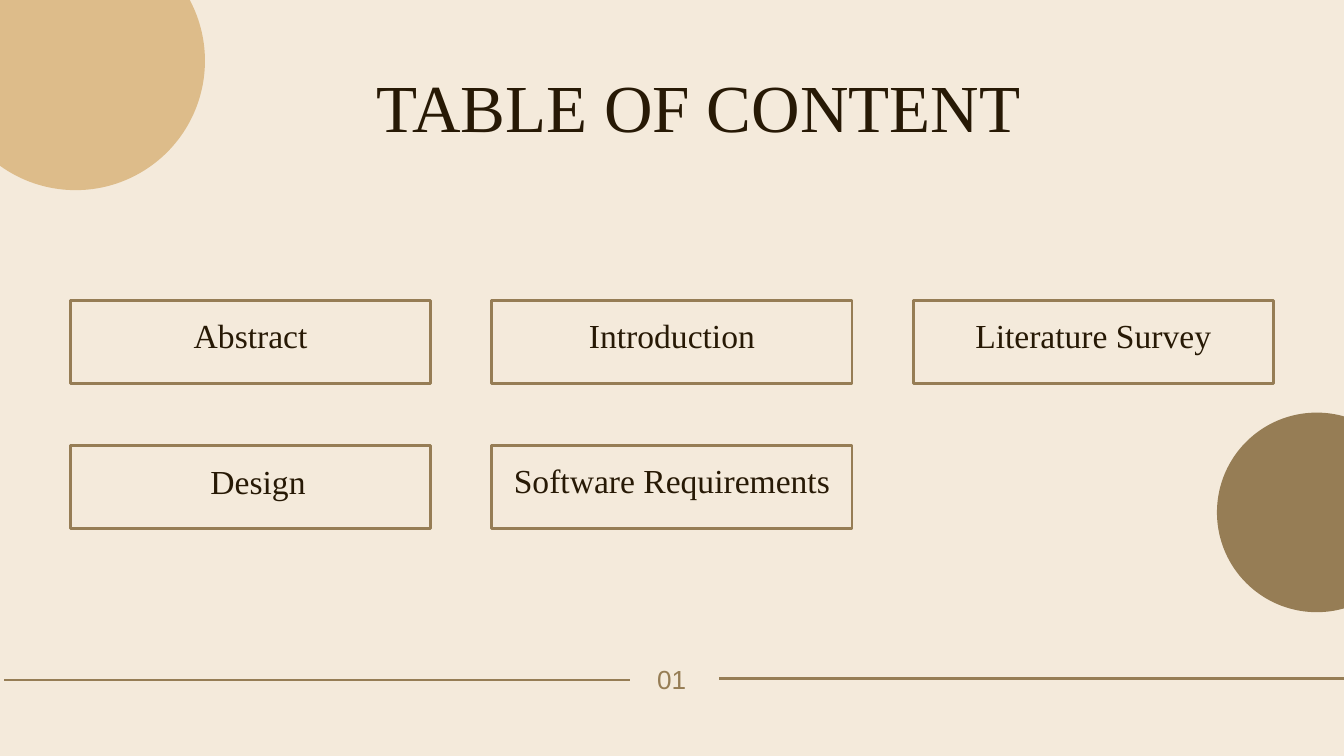
from dataclasses import dataclass

from lxml.etree import SubElement
from pptx import Presentation
from pptx.dml.color import RGBColor
from pptx.enum.shapes import MSO_CONNECTOR, MSO_SHAPE
from pptx.enum.text import MSO_ANCHOR, MSO_AUTO_SIZE, PP_ALIGN
from pptx.oxml.ns import qn
from pptx.util import Inches, Pt


@dataclass(frozen=True)
class Theme:
    """Colours, fonts and type sizes of the deck."""
    paper: RGBColor = RGBColor.from_string("F4EADB")
    ink: RGBColor = RGBColor.from_string("271905")
    brown: RGBColor = RGBColor.from_string("967D55")
    sand: RGBColor = RGBColor.from_string("DDBC8A")
    serif: str = "Times New Roman"
    sans: str = "Arial"
    title: float = 72
    topic: float = 36
    number: float = 28
    rule: float = 3


THEME = Theme()
TOPICS = ["Abstract", "Introduction", "Literature Survey", "Design", "Software Requirements"]
NUDGES = {"Design": (0.22, 0.02)}


def write(sp, text, size, font=THEME.serif, color=THEME.ink, spacing=None, left=0, top=0):
    """Put one centred line of text at the top of a shape."""
    tf = sp.text_frame
    tf.word_wrap = True
    tf.auto_size = MSO_AUTO_SIZE.NONE
    tf.vertical_anchor = MSO_ANCHOR.TOP
    tf.margin_left, tf.margin_top = Inches(left), Inches(top)
    tf.margin_right = tf.margin_bottom = 0
    p = tf.paragraphs[0]
    p.alignment = PP_ALIGN.CENTER
    p.line_spacing = Pt(spacing or size)
    r = p.add_run()
    r.text = text
    r.font.size, r.font.name = Pt(size), font
    r.font.color.rgb = color


def add_circle(s, left, top, diameter, color):
    """Draw a plain filled circle."""
    sp = s.shapes.add_shape(MSO_SHAPE.OVAL, Inches(left), Inches(top),
                            Inches(diameter), Inches(diameter))
    sp.shadow.inherit = False
    sp.fill.solid()
    sp.fill.fore_color.rgb = color
    sp.line.fill.background()


def add_rule(s, left, right, y):
    """Draw a horizontal rule."""
    line = s.shapes.add_connector(MSO_CONNECTOR.STRAIGHT, Inches(left), Inches(y),
                                  Inches(right), Inches(y))
    line.line.color.rgb = THEME.brown
    line.line.width = Pt(THEME.rule)
    SubElement(line._element.spPr, qn("a:effectLst"))


def add_title(s, text, left, top, width, height):
    """Place and format the title placeholder."""
    sp = s.shapes.title
    sp.left, sp.top, sp.width, sp.height = map(Inches, (left, top, width, height))
    write(sp, text, THEME.title, spacing=THEME.title * 1.2)


def add_topic(s, text, left, top, width, height):
    """Draw one outlined topic box."""
    sp = s.shapes.add_shape(MSO_SHAPE.RECTANGLE, Inches(left), Inches(top),
                            Inches(width), Inches(height))
    sp.shadow.inherit = False
    sp.fill.background()
    sp.line.color.rgb = THEME.brown
    sp.line.width = Pt(THEME.rule)
    dx, dy = NUDGES.get(text, (0, 0))
    write(sp, text, THEME.topic, left=dx, top=0.31 + dy)


def add_topics(s, topics, left, top, width, height, columns=3, box_w=5.36, box_h=1.24):
    """Lay the topics out row by row in an even grid."""
    rows = -(-len(topics) // columns)
    step_x = (width - box_w) / (columns - 1)
    step_y = (height - box_h) / (rows - 1)
    for i, text in enumerate(topics):
        row, column = divmod(i, columns)
        add_topic(s, text, left + column * step_x, top + row * step_y, box_w, box_h)


def add_footer(s, number, left, top, width, height):
    """Set the page number between two rules."""
    add_rule(s, left, 9.37, top + 0.17)
    add_rule(s, 10.7, left + width, top + 0.15)
    sp = s.shapes.add_textbox(Inches(9.07), Inches(top), Inches(1.85), Inches(height))
    write(sp, number, THEME.number, font=THEME.sans, color=THEME.brown)


def build_contents(prs):
    """Build the table of contents slide."""
    s = prs.slides.add_slide(prs.slide_layouts[5])
    s.background.fill.solid()
    s.background.fill.fore_color.rgb = THEME.paper
    add_circle(s, 18.11, 6.14, 2.97, THEME.brown)
    add_circle(s, -0.8, -1.02, 3.85, THEME.sand)
    add_title(s, "TABLE OF CONTENT", 4.12, 0.97, 12.55, 1.35)
    add_topics(s, TOPICS, 1.05, 4.47, 17.9, 3.4)
    add_footer(s, "01", 0.06, 9.95, 19.94, 0.41)


def main():
    """Create and save the deck."""
    prs = Presentation()
    prs.slide_width, prs.slide_height = Inches(20), Inches(11.25)
    build_contents(prs)
    prs.save("out.pptx")


if __name__ == "__main__":
    main()
